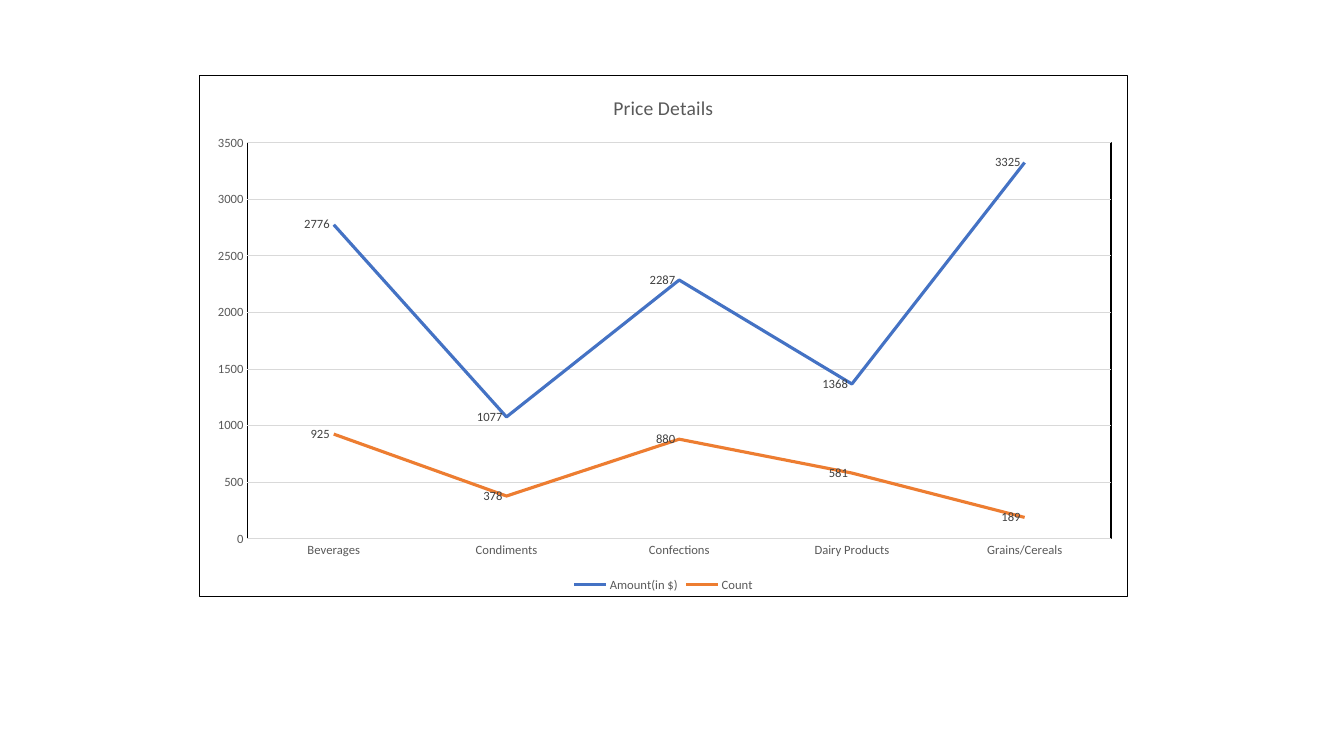
from lxml.etree import SubElement, fromstring
from pptx import Presentation
from pptx.chart.data import CategoryChartData
from pptx.dml.color import RGBColor
from pptx.enum.chart import XL_CHART_TYPE, XL_LABEL_POSITION, XL_LEGEND_POSITION, XL_TICK_MARK
from pptx.oxml.ns import nsdecls, qn
from pptx.util import Inches, Pt

TITLE = "Price Details"
CATEGORIES = ["Beverages", "Condiments", "Confections", "Dairy Products", "Grains/Cereals"]
SERIES = [
    ("Amount(in $)", [2776, 1077, 2287, 1368, 3325], "4472C4"),
    ("Count", [925, 378, 880, 581, 189], "ED7D31"),
]
CHART_BOX = (1.97, 0.74, 9.22, 5.18)
PLOT_LAYOUT = {
    "layoutTarget": "inner", "xMode": "edge", "yMode": "edge",
    "x": 0.052, "y": 0.13, "w": 0.93, "h": 0.76,
}
BASE_FONT = {"name": "Calibri", "size": Pt(10)}
TITLE_FONT = {"name": "Calibri", "size": Pt(14), "bold": False}
SMALL_FONT = {"name": "Calibri", "size": Pt(9), "bold": False}
BLACK, TEXT, LABEL, GRID = "000000", "595959", "404040", "D9D9D9"


def rgb(value):
    return RGBColor.from_string(value)


def set_attrs(obj, values):
    for name, value in values.items():
        setattr(obj, name, value)


def set_font(font, values, color):
    set_attrs(font, values)
    font.color.rgb = rgb(color)


def set_line(line, color, width):
    line.color.rgb = rgb(color)
    line.width = Pt(width)


def outline(color):
    return fromstring(
        f'<c:spPr {nsdecls("c", "a")}><a:noFill/><a:ln w="{Pt(0.75)}">'
        f'<a:solidFill><a:srgbClr val="{color}"/></a:solidFill></a:ln></c:spPr>'
    )


def frame_plot(chart):
    space = chart.element
    space.find(qn("c:chart")).addnext(outline(BLACK))
    plot_area = space.find(qn("c:chart")).find(qn("c:plotArea"))
    for old in plot_area.findall(qn("c:layout")):
        plot_area.remove(old)
    layout = SubElement(plot_area, qn("c:layout"))
    plot_area.insert(0, layout)
    manual = SubElement(layout, qn("c:manualLayout"))
    for name, value in PLOT_LAYOUT.items():
        SubElement(manual, qn(f"c:{name}")).set("val", str(value))
    plot_area.append(outline(BLACK))


def format_axes(chart):
    cat, val = chart.category_axis, chart.value_axis
    for axis in (cat, val):
        set_attrs(axis, {"major_tick_mark": XL_TICK_MARK.NONE, "minor_tick_mark": XL_TICK_MARK.NONE})
        set_font(axis.tick_labels.font, SMALL_FONT, TEXT)
    set_line(cat.format.line, GRID, 0.75)
    set_attrs(val, {"minimum_scale": 0, "maximum_scale": 3500, "major_unit": 500})
    val.format.line.fill.background()
    set_line(val.major_gridlines.format.line, GRID, 0.75)


def format_series(series, color):
    series.smooth = False
    set_line(series.format.line, color, 2.25)
    labels = series.data_labels
    set_attrs(labels, {"show_value": True, "position": XL_LABEL_POSITION.LEFT})
    set_font(labels.font, SMALL_FONT, LABEL)


prs = Presentation()
set_attrs(prs, {"slide_width": Inches(13.33), "slide_height": Inches(7.5)})
s = prs.slides.add_slide(prs.slide_layouts[6])

data = CategoryChartData()
data.categories = CATEGORIES
for name, values, _ in SERIES:
    data.add_series(name, values)
chart = s.shapes.add_chart(XL_CHART_TYPE.LINE, *map(Inches, CHART_BOX), data).chart

set_font(chart.font, BASE_FONT, BLACK)
p = chart.chart_title.text_frame.paragraphs[0]
r = p.add_run()
r.text = TITLE
set_font(r.font, TITLE_FONT, TEXT)
chart.chart_title.include_in_layout = False

chart.has_legend = True
set_attrs(chart.legend, {"position": XL_LEGEND_POSITION.BOTTOM, "include_in_layout": False})
set_font(chart.legend.font, SMALL_FONT, TEXT)

chart.plots[0].vary_by_categories = False
for series, (_, _, color) in zip(chart.plots[0].series, SERIES):
    format_series(series, color)
format_axes(chart)
frame_plot(chart)

prs.save("out.pptx")
